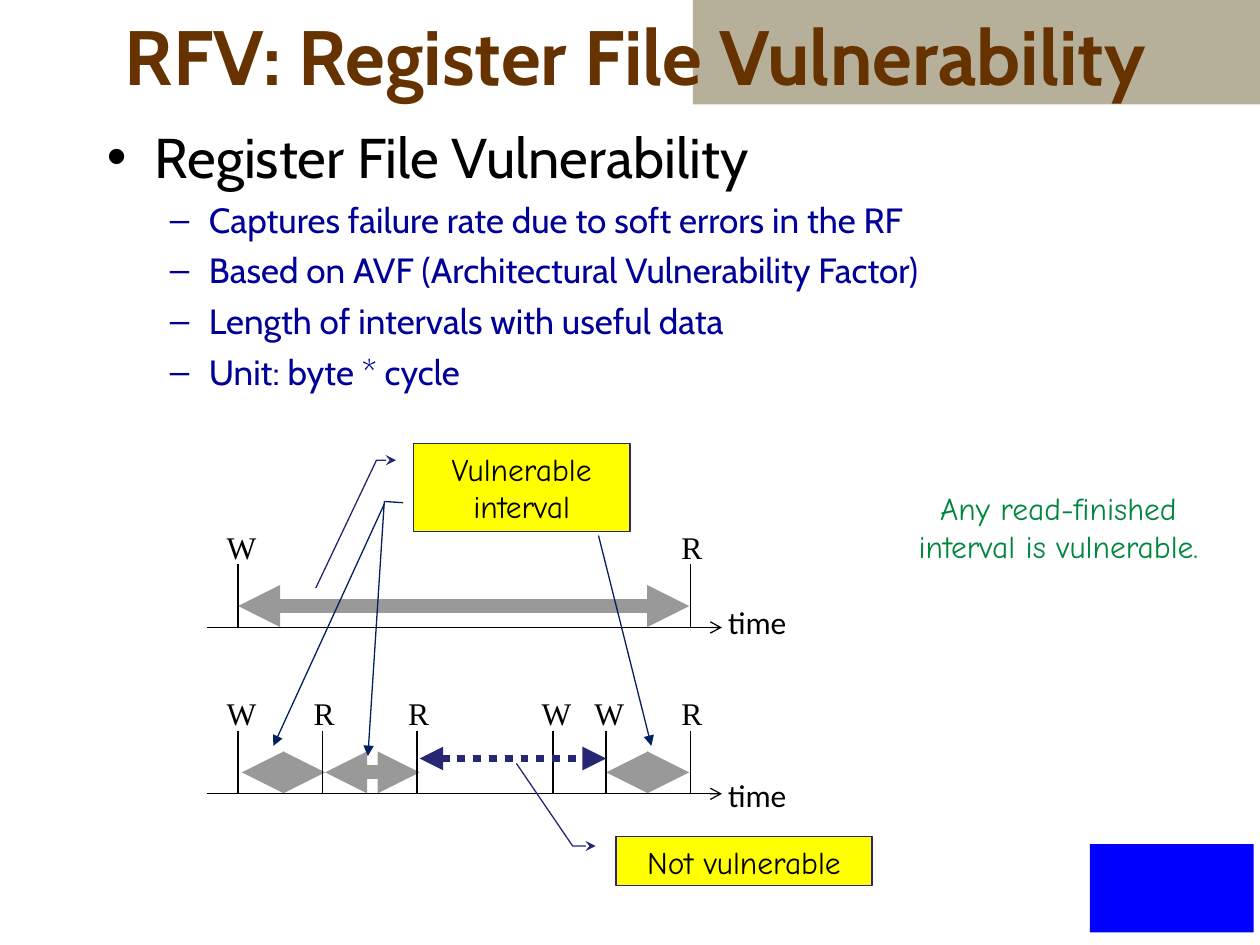
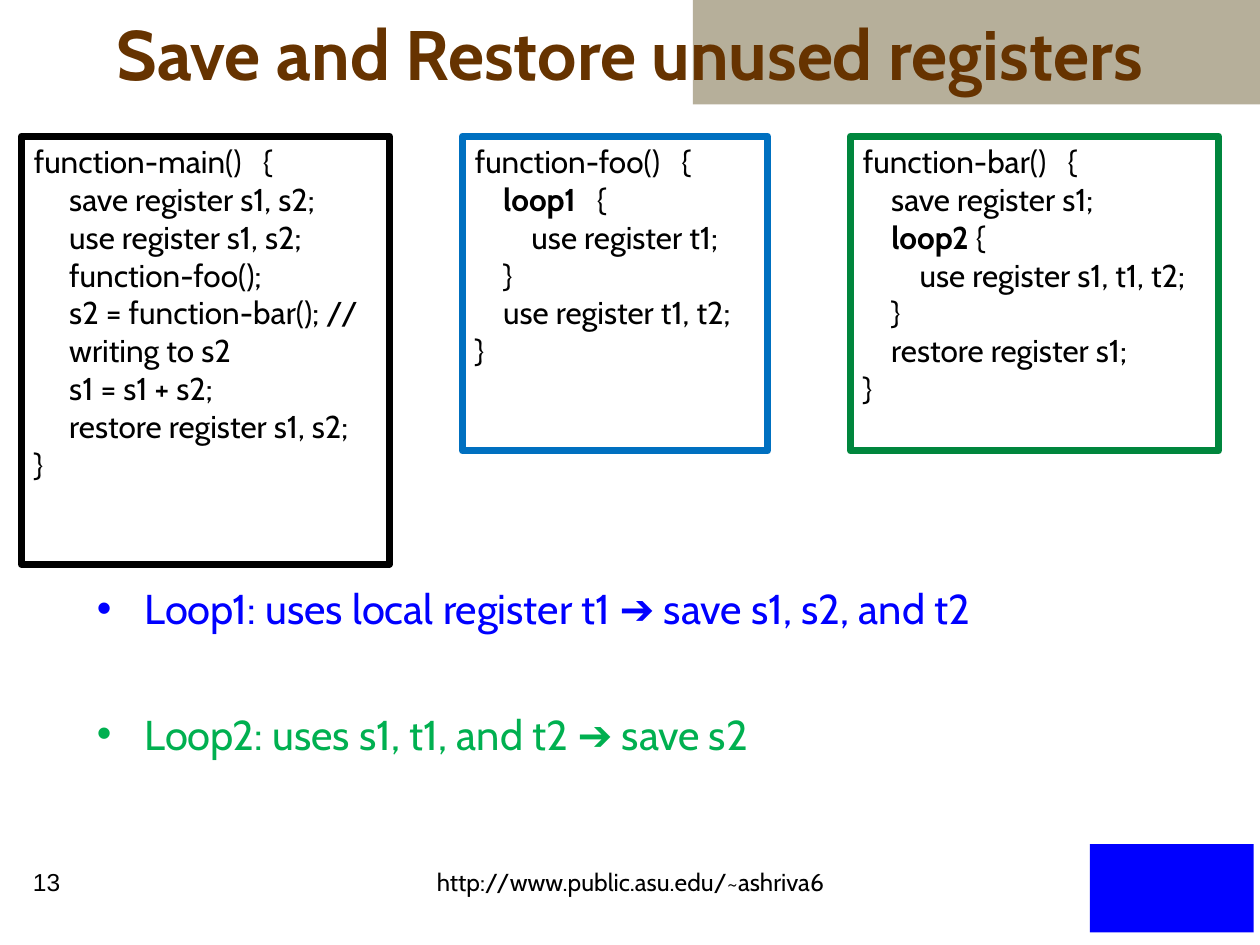
from dataclasses import dataclass

from lxml import etree
from pptx import Presentation
from pptx import util as u
from pptx.dml.color import RGBColor
from pptx.enum import dml, shapes, text
from pptx.oxml.ns import qn


@dataclass(frozen=True)
class Theme:
    """Colours, fonts and type sizes shared by the slides."""
    band: str = "B6AF9A"
    title: str = "663300"
    ink: str = "000000"
    paper: str = "FFFFFF"
    navy: str = "000099"
    indigo: str = "262673"
    pointer: str = "002060"
    grey: str = "999999"
    yellow: str = "FFFF00"
    blue: str = "0000FF"
    sky: str = "0070C0"
    forest: str = "00863D"
    green: str = "00B050"
    main_font: str = "Cabin"
    note_font: str = "Comic Neue"
    event_font: str = "Times New Roman"
    axis_font: str = "Calibri"
    plain_font: str = "Arial"
    heading: float = 32
    point: float = 23.8
    detail: float = 20
    label: float = 18
    footer: float = 14


T = Theme()
LEFT, CENTER = text.PP_ALIGN.LEFT, text.PP_ALIGN.CENTER
RECT = shapes.MSO_SHAPE.RECTANGLE


def rgb(value):
    """Return the colour for a hex string."""
    return RGBColor.from_string(value)


def inches(values):
    """Convert a sequence of numbers to lengths."""
    return [u.Inches(v) for v in values]


def write(p, line, size, font, color, align=LEFT, mark_font=None):
    """Write one paragraph; pieces between bars get mark_font, or bold."""
    p.alignment = align
    for i, piece in enumerate(line.split("|")):
        r = p.add_run()
        r.text = piece
        marked = i % 2 == 1
        r.font.size = u.Pt(size)
        r.font.name = mark_font if marked and mark_font else font
        r.font.bold = marked and not mark_font
        r.font.color.rgb = rgb(color)


def write_lines(tf, lines, size, font, color, align=LEFT):
    """Write one paragraph per line."""
    for i, line in enumerate(lines):
        p = tf.add_paragraph() if i else tf.paragraphs[0]
        write(p, line, size, font, color, align)


def add_label(slide, box, line, size, font, color, align=LEFT, wrap=True):
    """Add a text box holding one paragraph."""
    tf = slide.shapes.add_textbox(*inches(box)).text_frame
    tf.word_wrap = wrap
    write_lines(tf, [line], size, font, color, align)


def add_box(slide, kind, box, fill, line=None, width=0.75):
    """Add a filled preset shape, outlined if a line colour is given."""
    sp = slide.shapes.add_shape(kind, *inches(box))
    sp.shadow.inherit = False
    sp.fill.solid()
    sp.fill.fore_color.rgb = rgb(fill)
    if line:
        sp.line.color.rgb = rgb(line)
        sp.line.width = u.Pt(width)
    else:
        sp.line.fill.background()
    sp.text_frame.word_wrap = True
    sp.text_frame.vertical_anchor = text.MSO_ANCHOR.TOP
    return sp


def set_ends(sp, head=None, tail=None):
    """Put arrowheads on the ends of a shape's line."""
    ln = sp._element.spPr.find(qn("a:ln"))
    for tag, kind in (("a:headEnd", head), ("a:tailEnd", tail)):
        if kind:
            etree.SubElement(ln, qn(tag), type=kind)


def add_line(slide, start, end, color=T.ink, width=0.75, head=None, tail=None, dash=None):
    """Add a straight line with optional arrowheads and dashes."""
    sp = slide.shapes.add_connector(
        shapes.MSO_CONNECTOR.STRAIGHT, *inches(start + end))
    sp.line.color.rgb = rgb(color)
    sp.line.width = u.Pt(width)
    if dash:
        sp.line.dash_style = dash
    set_ends(sp, head, tail)
    etree.SubElement(sp._element.spPr, qn("a:effectLst"))


def add_span(slide, start, end, color=T.grey, width=8, dash=None):
    """Add a double-headed arrow over an interval."""
    add_line(slide, start, end, color, width, "triangle", "triangle", dash)


def add_callout(slide, box, lines, adjustments):
    """Add a yellow callout with a bent leader."""
    sp = add_box(slide, shapes.MSO_SHAPE.LINE_CALLOUT_2, box, T.yellow, T.indigo)
    for i, value in enumerate(adjustments):
        sp.adjustments[i] = value
    set_ends(sp, head="stealth")
    write_lines(sp.text_frame, lines, T.label, T.note_font, T.ink, CENTER)


def add_timeline(slide, y, events, time_top):
    """Add a time axis with a labelled tick for each read or write."""
    add_line(slide, (1.64, y), (5.73, y), tail="arrow")
    for letter, x in events:
        add_line(slide, (x, y - 0.5), (x, y))
        offset, width = (0.19, 0.43) if letter == "W" else (0.17, 0.36)
        add_label(slide, (x - offset, y - 0.84, width, 0.4), letter,
                  T.label, T.event_font, T.ink, wrap=False)
    add_label(slide, (5.68, time_top, 0.66, 0.4), "time",
              T.label, T.axis_font, T.ink, wrap=False)


def add_bullet(tf, line, size, color, char="•", level=0, indent=(0.38, 0.38), before=0):
    """Add a bulleted paragraph with a hanging indent."""
    p = tf.paragraphs[0] if not tf.text else tf.add_paragraph()
    pPr = p._p.get_or_add_pPr()
    pPr.set("marL", str(u.Inches(indent[0])))
    pPr.set("indent", str(-u.Inches(indent[1])))
    clr = etree.SubElement(pPr, qn("a:buClr"))
    etree.SubElement(clr, qn("a:srgbClr"), val=color)
    etree.SubElement(pPr, qn("a:buFont"), typeface=T.plain_font)
    etree.SubElement(pPr, qn("a:buChar"), char=char)
    p.level = level
    p.space_before = u.Pt(before)
    write(p, line, size, T.main_font, color, mark_font=T.plain_font)


def add_body(slide, box):
    """Add a wrapping text box and return its frame."""
    tf = slide.shapes.add_textbox(*inches(box)).text_frame
    tf.word_wrap = True
    return tf


def add_slide(prs, title, box, size):
    """Add a slide with the shared band, badge and title style."""
    slide = prs.slides.add_slide(prs.slide_layouts[5])
    band = add_box(slide, RECT, (5.5, 0, 4.5, 0.83), T.band)
    badge = add_box(slide, RECT, (8.65, 6.7, 1.3, 0.7), T.blue)
    for i, sp in enumerate((band, badge)):
        slide.shapes._spTree.insert(2 + i, sp._element)
    sp = slide.shapes.title
    sp.left, sp.top, sp.width, sp.height = inches(box)
    tf = sp.text_frame
    tf.text = title
    tf.auto_size = text.MSO_AUTO_SIZE.NONE
    tf.vertical_anchor = text.MSO_ANCHOR.MIDDLE
    p = tf.paragraphs[0]
    p.alignment = CENTER
    font = p.runs[0].font
    font.size, font.name, font.bold = u.Pt(size), T.main_font, True
    font.color.rgb = rgb(T.title)
    return slide


def add_code(slide, box, color, lines):
    """Add a framed listing of pseudocode."""
    sp = add_box(slide, RECT, box, T.paper, color, 4)
    write_lines(sp.text_frame, lines, T.label, T.main_font, T.ink)


def build_vulnerability(prs):
    """Build the slide on register file vulnerability."""
    slide = add_slide(prs, "RFV: Register File Vulnerability", (0.67, 0.12, 8.75, 0.63), 44)
    tf = add_body(slide, (0.75, 0.92, 8.5, 4.5))
    add_bullet(tf, "Register File Vulnerability", T.heading, T.ink)
    for line in ("Captures failure rate due to soft errors in the RF",
                 "Based on AVF (Architectural Vulnerability Factor)",
                 "Length of intervals with useful data",
                 "Unit: byte * cycle"):
        add_bullet(tf, line, T.detail, T.navy, "–", 1, (0.81, 0.31), 5)

    add_span(slide, (1.89, 4.81), (5.47, 4.81))
    for x1, x2 in ((1.92, 2.58), (2.58, 3.33), (4.81, 5.47)):
        add_span(slide, (x1, 6.13), (x2, 6.13))
    add_timeline(slide, 4.98, [("W", 1.89), ("R", 5.48)], 4.74)
    add_timeline(slide, 6.3, [("W", 1.89), ("R", 2.56), ("R", 3.31),
                              ("W", 4.39), ("W", 4.81), ("R", 5.48)], 6.11)
    add_span(slide, (3.33, 6.02), (4.81, 6.02), T.indigo, 4.5,
             dash=dml.MSO_LINE.ROUND_DOT)

    add_callout(slide, (4.89, 6.64, 2.03, 0.39), ["Not vulnerable"],
                (0.19, -0.08, 0.19, -0.17, -1.49, -0.39))
    add_callout(slide, (3.28, 3.52, 1.72, 0.7), ["Vulnerable", "interval"],
                (0.19, -0.08, 0.19, -0.17, 1.64, -0.45))
    add_line(slide, (3.05, 3.98), (3.2, 3.99), T.pointer)
    for start, end in (((3.05, 3.98), (2.92, 6)), ((3.05, 4), (2.17, 5.92)),
                       ((4.75, 4.25), (5.17, 5.92))):
        add_line(slide, start, end, T.pointer, tail="triangle")
    add_label(slide, (7.19, 3.83, 2.42, 1.41), "Any read-finished interval is vulnerable.",
              T.label, T.note_font, T.forest, CENTER)


def build_save_restore(prs):
    """Build the slide on saving and restoring unused registers."""
    slide = add_slide(prs, "Save and Restore unused registers", (0.75, 0, 8.5, 0.83), 40)
    add_label(slide, (2.67, 6.83, 4.67, 0.5), "http://www.public.asu.edu/~ashriva6",
              T.footer, T.main_font, T.ink, CENTER)
    add_label(slide, (0.08, 6.83, 0.58, 0.5), "13", T.footer, T.plain_font, T.ink, CENTER)
    add_code(slide, (0.17, 1.08, 2.92, 3.4), T.ink, [
        "function-main()   {",
        "     save register s1, s2;",
        "     use register s1, s2;",
        "     function-foo();",
        "     s2 = function-bar(); //",
        "     writing to s2",
        "     s1 = s1 + s2;",
        "     restore register s1, s2;",
        "}"])
    add_code(slide, (3.67, 1.08, 2.42, 2.5), T.sky, [
        "function-foo()   {",
        "    |loop1|   {",
        "        use register t1;",
        "    }",
        "    use register t1, t2;",
        "}"])
    add_code(slide, (6.75, 1.08, 2.92, 2.5), T.forest, [
        "function-bar()   {",
        "    save register s1;",
        "    |loop2| {",
        "        use register s1, t1, t2;",
        "    }",
        "    restore register s1;",
        "}"])
    tf = add_body(slide, (0.67, 4.58, 8.58, 1.83))
    add_bullet(tf, "Loop1: uses local register t1 |➔| save s1, s2, and t2", T.point, T.blue)
    add_bullet(tf, "Loop2: uses s1, t1, and t2 |➔| save s2", T.point, T.green, before=43)


def main():
    """Build and save the presentation."""
    prs = Presentation()
    prs.slide_width, prs.slide_height = inches((10, 7.5))
    build_vulnerability(prs)
    build_save_restore(prs)
    prs.save("out.pptx")


if __name__ == "__main__":
    main()
